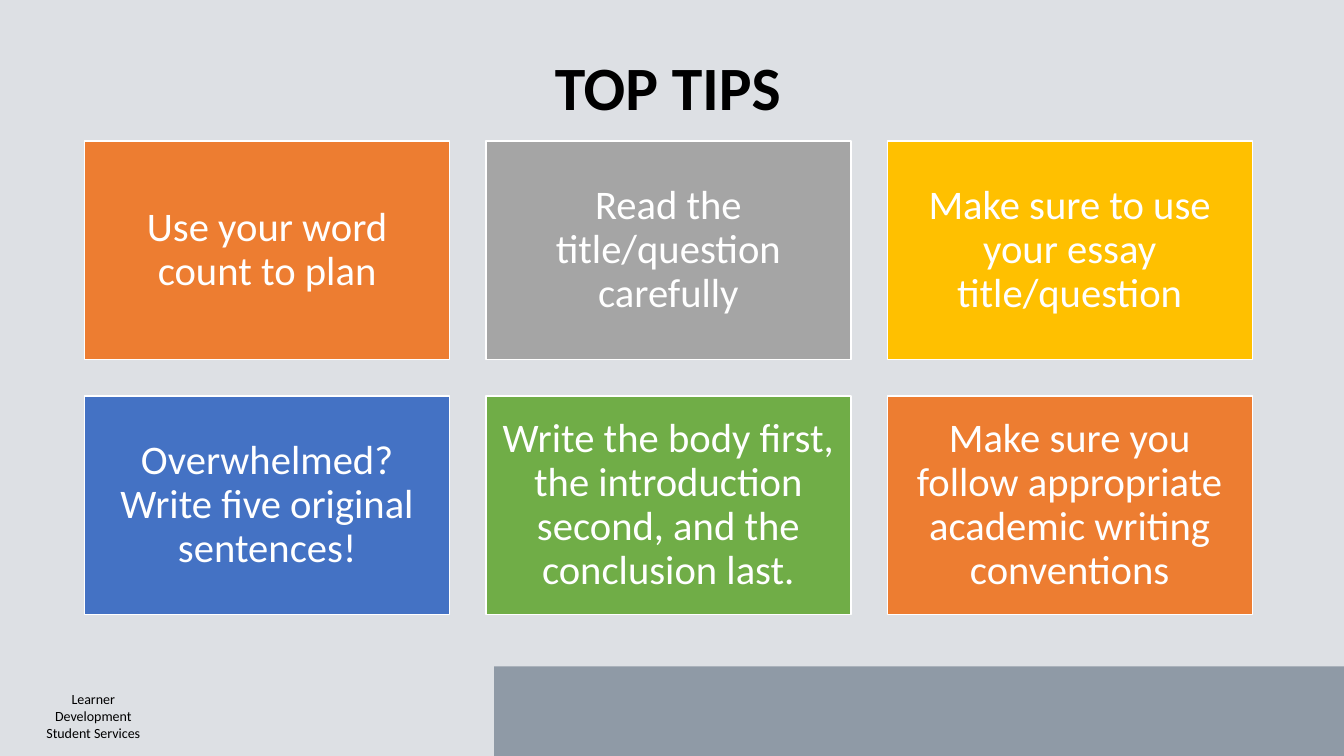
from lxml import etree
from pptx import Presentation
from pptx import util as u
from pptx.dml.color import RGBColor
from pptx.enum import shapes, text
from pptx.oxml.ns import qn

SLATE = RGBColor(0x8F, 0x9A, 0xA6)
ORANGE = RGBColor(0xED, 0x7D, 0x31)
GREY = RGBColor(0xA5, 0xA5, 0xA5)
GOLD = RGBColor(0xFF, 0xC0, 0x00)
BLUE = RGBColor(0x44, 0x72, 0xC4)
GREEN = RGBColor(0x70, 0xAD, 0x47)
WHITE = RGBColor(0xFF, 0xFF, 0xFF)
BLACK = RGBColor(0x00, 0x00, 0x00)

TIPS = [
    ("Use your word count to plan", ORANGE),
    ("Read the title/question carefully", GREY),
    ("Make sure to use your essay title/question", GOLD),
    ("Overwhelmed? Write five original sentences!", BLUE),
    ("Write the body first, the introduction second, and the conclusion last.", GREEN),
    ("Make sure you follow appropriate academic writing conventions", ORANGE),
]


class TipSlide:
    font = "Calibri"
    columns = 3
    left, top = 0.84, 1.4
    card_width, card_height, gap = 3.62, 2.17, 0.36

    def __init__(self, prs):
        self.s = prs.slides.add_slide(prs.slide_layouts[5])

    def set_text(self, sp, lines, size, color, bold=False, spacing=1.0, inset=None):
        tf = sp.text_frame
        tf.word_wrap = True
        if inset is not None:
            for side in ("left", "right", "top", "bottom"):
                setattr(tf, f"margin_{side}", u.Inches(inset))
        tf.text = "\n".join(lines)
        for p in tf.paragraphs:
            p.alignment = text.PP_ALIGN.CENTER
            p.line_spacing = spacing
            style = {"name": self.font, "size": u.Pt(size), "bold": bold}
            for key, value in style.items():
                setattr(p.font, key, value)
            p.font.color.rgb = color
        return tf

    def rectangle(self, box, fill, line=None, opacity=None):
        """Draw a rectangle; opacity is a percentage."""
        sp = self.s.shapes.add_shape(shapes.MSO_SHAPE.RECTANGLE, *map(u.Inches, box))
        sp.shadow.inherit = False
        sp.fill.solid()
        sp.fill.fore_color.rgb = fill
        if line is None:
            sp.line.fill.background()
        else:
            sp.line.color.rgb = line
            sp.line.width = u.Pt(1)
        if opacity is not None:
            clr = sp.element.spPr.find(qn("a:solidFill"))[0]
            etree.SubElement(clr, qn("a:alpha"), val=str(opacity * 1000))
        return sp

    def title(self, box, words):
        """Format the title placeholder and raise it above the backdrop."""
        sp = self.s.shapes.title
        sp.left, sp.top, sp.width, sp.height = map(u.Inches, box)
        tf = self.set_text(sp, [words], 44, BLACK, bold=True, spacing=0.9)
        tf.vertical_anchor = text.MSO_ANCHOR.MIDDLE
        sp.element.getparent().append(sp.element)

    def label(self, box, lines):
        sp = self.s.shapes.add_textbox(*map(u.Inches, box))
        self.set_text(sp, lines, 10, BLACK)

    def card(self, index, words, fill):
        row, col = divmod(index, self.columns)
        box = (self.left + col * (self.card_width + self.gap),
               self.top + row * (self.card_height + self.gap),
               self.card_width, self.card_height)
        sp = self.rectangle(box, fill, line=WHITE)
        tf = self.set_text(sp, [words], 29, WHITE, spacing=0.9, inset=0.12)
        tf.vertical_anchor = text.MSO_ANCHOR.MIDDLE


def main():
    prs = Presentation()
    prs.slide_width, prs.slide_height = u.Inches(13.33), u.Inches(7.5)
    slide = TipSlide(prs)
    slide.rectangle((0, 0, 13.33, 7.5), SLATE, opacity=30)
    slide.rectangle((4.9, 6.61, 8.43, 0.89), SLATE)
    slide.label((0.23, 6.8, 1.39, 0.61), ["Learner Development", "Student Services"])
    slide.title((0.22, 0.17, 12.81, 1.45), "TOP TIPS")
    for index, (words, fill) in enumerate(TIPS):
        slide.card(index, words, fill)
    prs.save("out.pptx")


if __name__ == "__main__":
    main()
